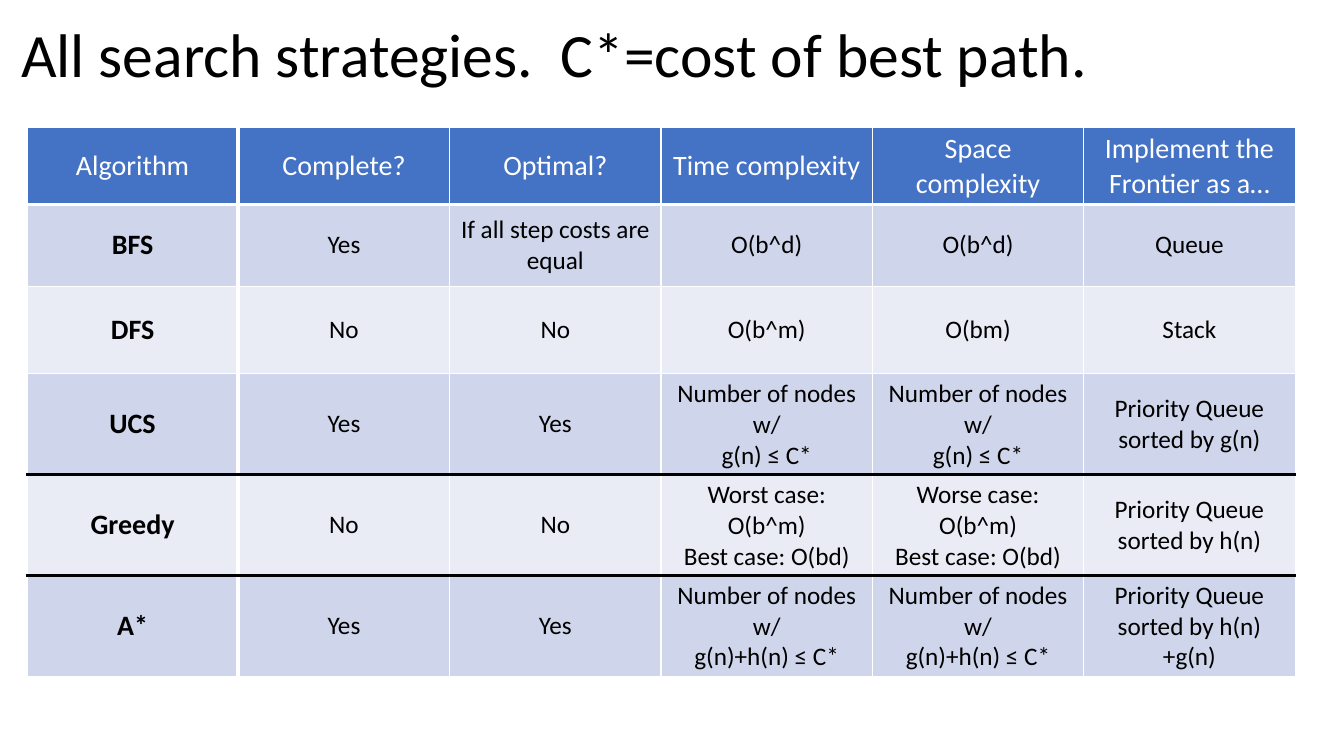
from lxml.etree import SubElement
from pptx import Presentation
from pptx.dml.color import RGBColor
from pptx.enum.text import MSO_ANCHOR, PP_ALIGN
from pptx.oxml.ns import qn
from pptx.util import Pt

COLORS = {
    "header": "4472C4",
    "band_dark": "CFD5EA",
    "band_light": "E9EBF5",
    "white": "FFFFFF",
    "black": "000000",
}
FONT = "Calibri"

STRATEGIES = [
    ["Algorithm", "Complete?", "Optimal?", "Time complexity", "Space complexity",
     "Implement the Frontier as a…"],
    ["BFS", "Yes", "If all step costs are equal", "O(b^d)", "O(b^d)", "Queue"],
    ["DFS", "No", "No", "O(b^m)", "O(bm)", "Stack"],
    ["UCS", "Yes", "Yes", "Number of nodes w/\ng(n) ≤ C*", "Number of nodes w/\ng(n) ≤ C*",
     "Priority Queue sorted by g(n)"],
    ["Greedy", "No", "No", "Worst case: O(b^m)\nBest case: O(bd)",
     "Worse case: O(b^m)\nBest case: O(bd)", "Priority Queue sorted by h(n)"],
    ["A*", "Yes", "Yes", "Number of nodes w/\ng(n)+h(n) ≤ C*",
     "Number of nodes w/\ng(n)+h(n) ≤ C*", "Priority Queue sorted by h(n)+g(n)"],
]
ROW_HEIGHTS = [42.5, 58.5, 62.5, 64, 64, 64]
COLUMN_WIDTH = 151
# Border colour and width under each row
RULES = [("white", 3), ("white", 1), ("white", 1), ("black", 3), ("black", 3), ("white", 1)]


def style_text(frame, size, color, bold=False, align=PP_ALIGN.LEFT):
    frame.word_wrap = True
    for paragraph in frame.paragraphs:
        paragraph.alignment = align
        for run in paragraph.runs:
            run.font.name = FONT
            run.font.size = Pt(size)
            run.font.bold = bold
            run.font.color.rgb = RGBColor.from_string(COLORS[color])


def add_border(cell, side, color, width):
    """Draw one cell edge; side is L, R, T or B, added in that order before the fill."""
    line = SubElement(cell._tc.get_or_add_tcPr(), qn(f"a:ln{side}"), w=str(Pt(width)))
    fill = SubElement(line, qn("a:solidFill"))
    SubElement(fill, qn("a:srgbClr"), val=COLORS[color])


prs = Presentation()
prs.slide_width, prs.slide_height = Pt(960), Pt(540)
slide = prs.slides.add_slide(prs.slide_layouts[6])

title = slide.shapes.add_textbox(Pt(8), Pt(6.5), Pt(788), Pt(68.5)).text_frame
title.text = "All search strategies.  C*=cost of best path."
title.vertical_anchor = MSO_ANCHOR.MIDDLE
title.paragraphs[0].line_spacing = 0.9
style_text(title, 44, "black")

comparison = slide.shapes.add_table(
    len(STRATEGIES), len(STRATEGIES[0]), Pt(19.25), Pt(90.75),
    Pt(COLUMN_WIDTH * len(STRATEGIES[0])), Pt(sum(ROW_HEIGHTS))).table
comparison.horz_banding = False
for column in comparison.columns:
    column.width = Pt(COLUMN_WIDTH)

for r, strategy in enumerate(STRATEGIES):
    comparison.rows[r].height = Pt(ROW_HEIGHTS[r])
    is_header = r == 0
    band = "header" if is_header else "band_dark" if r % 2 else "band_light"
    rule_above = ("white", 1) if is_header else RULES[r - 1]
    for c, text in enumerate(strategy):
        cell = comparison.cell(r, c)
        cell.text_frame.text = text
        cell.vertical_anchor = MSO_ANCHOR.MIDDLE
        style_text(cell.text_frame, 20 if is_header or c == 0 else 18,
                   "white" if is_header else "black",
                   bold=c == 0 and not is_header, align=PP_ALIGN.CENTER)
        add_border(cell, "L", "white", 3 if c == 1 else 1)
        add_border(cell, "R", "white", 3 if c == 0 else 1)
        add_border(cell, "T", *rule_above)
        add_border(cell, "B", *RULES[r])
        cell.fill.solid()
        cell.fill.fore_color.rgb = RGBColor.from_string(COLORS[band])

prs.save("out.pptx")
